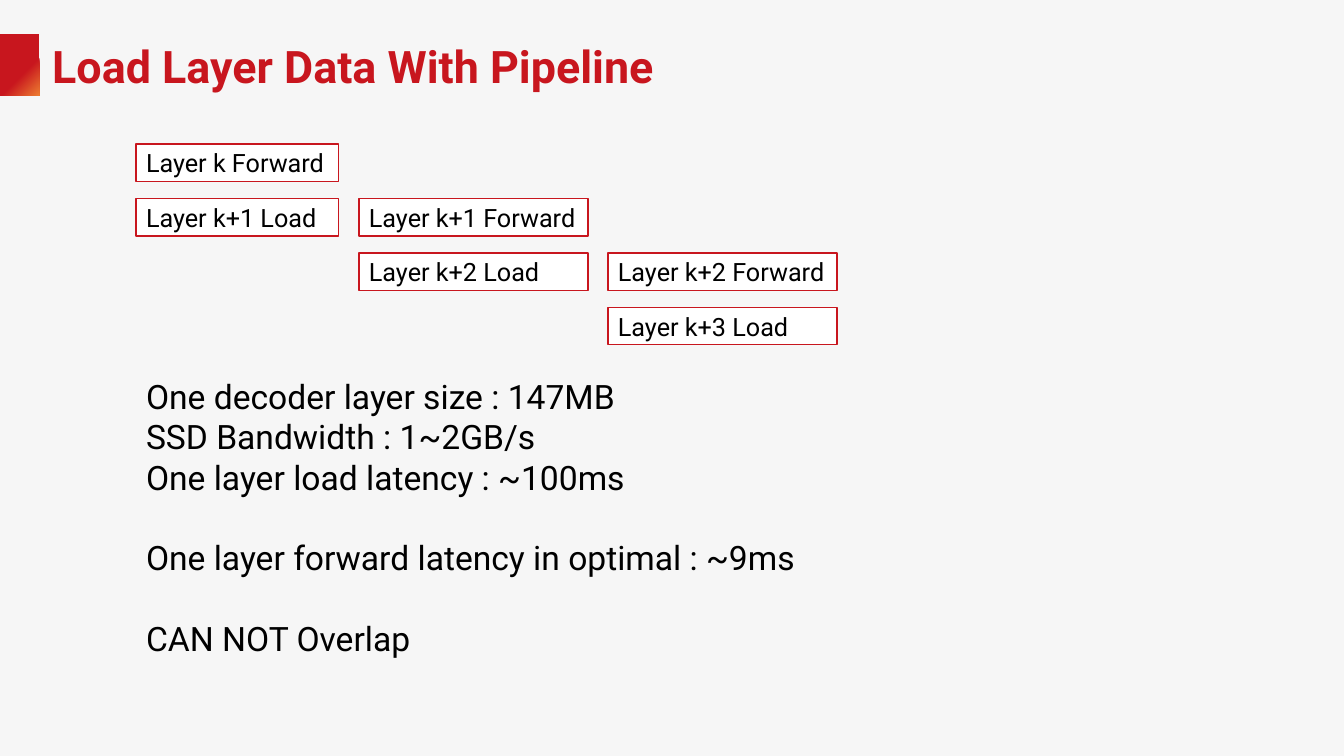
from dataclasses import dataclass

from pptx import Presentation
from pptx.dml.color import RGBColor
from pptx.enum.shapes import MSO_SHAPE
from pptx.enum.text import MSO_ANCHOR, PP_ALIGN
from pptx.util import Inches, Pt


@dataclass(frozen=True)
class Theme:
    font: str = "Roboto"
    red: RGBColor = RGBColor(0xC8, 0x16, 0x1E)
    orange: RGBColor = RGBColor(0xED, 0x7D, 0x31)
    black: RGBColor = RGBColor(0, 0, 0)
    white: RGBColor = RGBColor(0xFF, 0xFF, 0xFF)
    background: RGBColor = RGBColor(0xF6, 0xF6, 0xF6)
    title: Pt = Pt(32)
    body: Pt = Pt(24)
    label: Pt = Pt(18)
    section_gap: Pt = Pt(28.8)
    border: Pt = Pt(1)


class SlideBuilder:
    # Pipeline grid, in percent of the slide's width and height
    LEFT, COLUMN_WIDTHS, COLUMN_GAP = 10.13, (15.08, 17.03, 17.03), 1.5
    TOP, ROW_PITCH, ROW_HEIGHT = 19.07, 7.2, 4.93

    def __init__(self, prs, theme):
        self.prs, self.theme = prs, theme
        self.s = prs.slides.add_slide(prs.slide_layouts[6])
        fill = self.s.background.fill
        fill.solid()
        fill.fore_color.rgb = theme.background

    def place(self, left, top, width, height):
        """Turn percentages of the slide into lengths."""
        w, h = self.prs.slide_width, self.prs.slide_height
        return [int(share * side / 100) for share, side in
                zip((left, top, width, height), (w, h, w, h))]

    def rect(self, *area):
        sp = self.s.shapes.add_shape(MSO_SHAPE.RECTANGLE, *self.place(*area))
        sp.shadow.inherit = False
        return sp

    def add_text(self, p, text, color, **formats):
        r = p.add_run()
        r.text = text
        r.font.color.rgb = color
        for name, value in {"name": self.theme.font, **formats}.items():
            setattr(r.font, name, value)

    def accent(self, *area):
        sp = self.rect(*area)
        sp.line.fill.background()
        sp.fill.gradient()
        sp.fill.gradient_angle = 315
        stops = ((0.62, self.theme.red), (1, self.theme.orange))
        for stop, (position, color) in zip(sp.fill.gradient_stops, stops):
            stop.position = position
            stop.color.rgb = color

    def text_box(self, *area, anchor=MSO_ANCHOR.TOP):
        tf = self.s.shapes.add_textbox(*self.place(*area)).text_frame
        tf.word_wrap = True
        tf.vertical_anchor = anchor
        return tf

    def title(self, text, *area):
        tf = self.text_box(*area, anchor=MSO_ANCHOR.MIDDLE)
        self.add_text(tf.paragraphs[0], text, self.theme.red,
                      size=self.theme.title, bold=True)

    def sections(self, groups, *area):
        """Add groups of lines, with a gap before each later group."""
        tf = self.text_box(*area)
        p = tf.paragraphs[0]
        for g, lines in enumerate(groups):
            for i, line in enumerate(lines):
                if g or i:
                    p = tf.add_paragraph()
                if g and not i:
                    p.space_before = self.theme.section_gap
                self.add_text(p, line, self.theme.black, size=self.theme.body)

    def stage(self, column, row, text):
        left = (self.LEFT + sum(self.COLUMN_WIDTHS[:column])
                + column * self.COLUMN_GAP)
        sp = self.rect(left, self.TOP + row * self.ROW_PITCH,
                       self.COLUMN_WIDTHS[column], self.ROW_HEIGHT)
        sp.fill.solid()
        sp.fill.fore_color.rgb = self.theme.white
        sp.line.color.rgb = self.theme.red
        sp.line.width = self.theme.border
        tf = sp.text_frame
        tf.vertical_anchor = MSO_ANCHOR.MIDDLE
        p = tf.paragraphs[0]
        p.alignment = PP_ALIGN.JUSTIFY
        self.add_text(p, text, self.theme.black, size=self.theme.label)


def main():
    prs = Presentation()
    prs.slide_width, prs.slide_height = Inches(13.33), Inches(7.5)
    slide = SlideBuilder(prs, Theme())

    slide.accent(0, 4.53, 2.93, 8.13)
    slide.title("Load Layer Data With Pipeline", 3.15, 3.87, 73.37, 9.6)
    slide.sections([
        ["One decoder layer size : 147MB",
         "SSD Bandwidth : 1~2GB/s",
         "One layer load latency : ~100ms"],
        ["One layer forward latency in optimal : ~9ms"],
        ["CAN NOT Overlap"],
    ], 10.13, 49.07, 50.41, 39.07)

    for step, layer in enumerate(("k", "k+1", "k+2")):
        slide.stage(step, step, f"Layer {layer} Forward")
        slide.stage(step, step + 1, f"Layer k+{step + 1} Load")

    prs.save("out.pptx")


if __name__ == "__main__":
    main()
